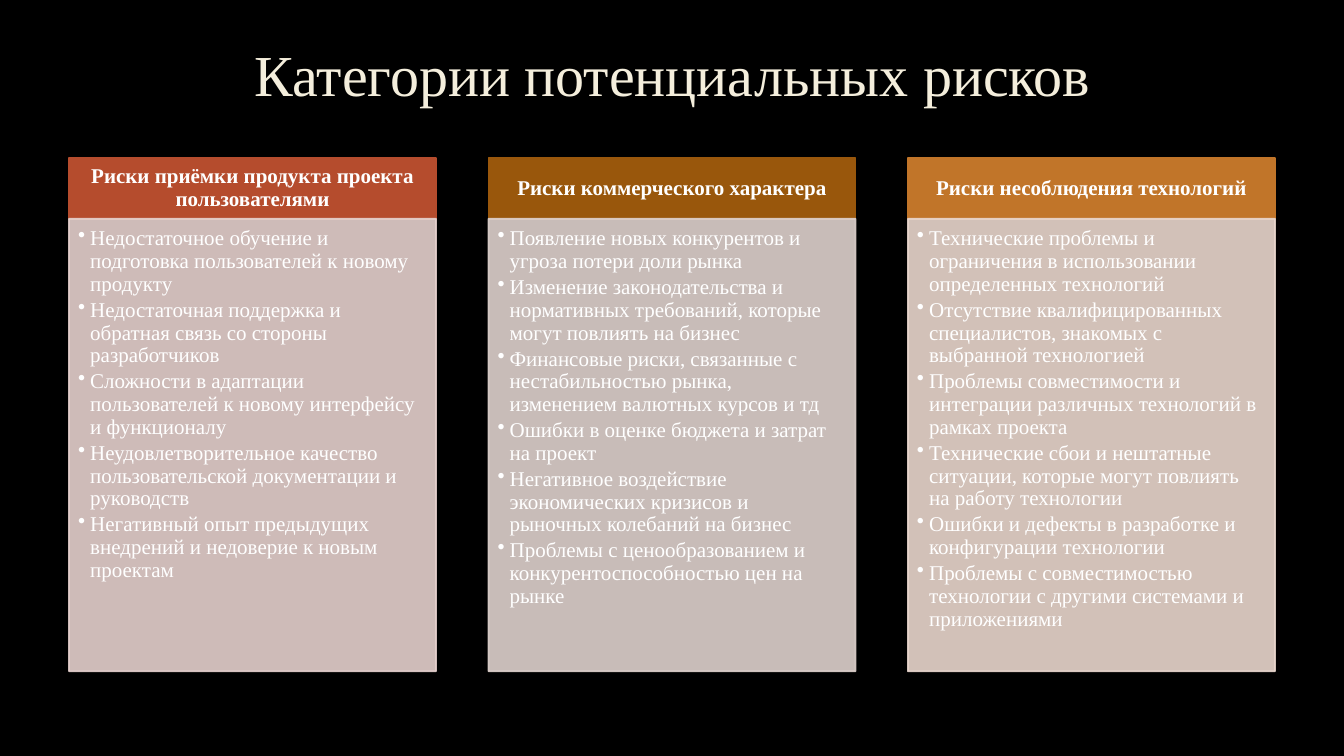
from lxml.etree import SubElement
from pptx import Presentation
from pptx.dml.color import RGBColor
from pptx.enum.shapes import MSO_SHAPE
from pptx.enum.text import MSO_ANCHOR, PP_ALIGN
from pptx.oxml.ns import qn
from pptx.util import Inches, Pt

# Content
TITLE = "Категории потенциальных рисков"
CATEGORIES = [
    ("Риски приёмки продукта проекта пользователями", "acceptance", [
        "Недостаточное обучение и подготовка пользователей к новому продукту",
        "Недостаточная поддержка и обратная связь со стороны разработчиков",
        "Сложности в адаптации пользователей к новому интерфейсу и функционалу",
        "Неудовлетворительное качество пользовательской документации и руководств",
        "Негативный опыт предыдущих внедрений и недоверие к новым проектам",
    ]),
    ("Риски коммерческого характера", "commercial", [
        "Появление новых конкурентов и угроза потери доли рынка",
        "Изменение законодательства и нормативных требований, которые могут повлиять на бизнес",
        "Финансовые риски, связанные с нестабильностью рынка, изменением валютных курсов и тд",
        "Ошибки в оценке бюджета и затрат на проект",
        "Негативное воздействие экономических кризисов и рыночных колебаний на бизнес",
        "Проблемы с ценообразованием и конкурентоспособностью цен на рынке",
    ]),
    ("Риски несоблюдения технологий", "technology", [
        "Технические проблемы и ограничения в использовании определенных технологий",
        "Отсутствие квалифицированных специалистов, знакомых с выбранной технологией",
        "Проблемы совместимости и интеграции различных технологий в рамках проекта",
        "Технические сбои и нештатные ситуации, которые могут повлиять на работу технологии",
        "Ошибки и дефекты в разработке и конфигурации технологии",
        "Проблемы с совместимостью технологии с другими системами и приложениями",
    ]),
]
COLORS = {
    "background": "000000", "title": "F4EEDC", "text": "FFFFFF",
    "acceptance": "B54C2D", "acceptance_body": "E5D0CD",
    "commercial": "99570C", "commercial_body": "DED1CC",
    "technology": "C17529", "technology_body": "E9D6CD",
}
FONT = "Times New Roman"

# Layout in inches
SLIDE_WIDTH, SLIDE_HEIGHT = 13.33, 7.5
COLUMN_WIDTH, COLUMN_GAP = 3.64, 0.52
HEADER_TOP, HEADER_HEIGHT, BODY_HEIGHT = 1.57, 0.6, 4.49
HEADER_INSETS = (0.12, 0.07, 0.12, 0.07)
BODY_INSETS = (0.09, 0.09, 0.12, 0.13)
BULLET_INDENT = 0.12


def rgb(name):
    return RGBColor.from_string(COLORS[name])


def add_paragraph(frame, text, size, color, alignment, bold=False, space_after=0):
    first = frame.paragraphs[0]
    paragraph = frame.add_paragraph() if first.runs else first
    paragraph.alignment = alignment
    paragraph.line_spacing = 0.9
    paragraph.space_after = Pt(space_after)
    run = paragraph.add_run()
    run.text = text
    run.font.name = FONT
    run.font.size = Pt(size)
    run.font.bold = bold
    run.font.color.rgb = rgb(color)
    return paragraph


def add_bullet(paragraph):
    properties = paragraph._p.get_or_add_pPr()
    properties.set("marL", str(Inches(BULLET_INDENT)))
    properties.set("indent", str(-Inches(BULLET_INDENT)))
    SubElement(properties, qn("a:buChar"), char="•")


def add_panel(slide, left, top, height, color, insets, anchor, opacity=100):
    shape = slide.shapes.add_shape(
        MSO_SHAPE.RECTANGLE, Inches(left), Inches(top), Inches(COLUMN_WIDTH), Inches(height))
    shape.shadow.inherit = False
    shape.line.width = Pt(1.25)
    for fill in (shape.fill, shape.line.fill):
        fill.solid()
        fill.fore_color.rgb = rgb(color)
    if opacity < 100:
        for color_element in shape._element.spPr.iter(qn("a:srgbClr")):
            SubElement(color_element, qn("a:alpha"), val=str(opacity * 1000))
    frame = shape.text_frame
    frame.word_wrap = True
    frame.vertical_anchor = anchor
    (frame.margin_left, frame.margin_top,
     frame.margin_right, frame.margin_bottom) = map(Inches, insets)
    return frame


def main():
    presentation = Presentation()
    presentation.slide_width = Inches(SLIDE_WIDTH)
    presentation.slide_height = Inches(SLIDE_HEIGHT)
    slide = presentation.slides.add_slide(presentation.slide_layouts[6])
    slide.background.fill.solid()
    slide.background.fill.fore_color.rgb = rgb("background")

    # Title
    title = slide.shapes.add_textbox(Inches(1.01), Inches(0.38), Inches(11.32), Inches(0.79))
    title.text_frame.word_wrap = True
    title.text_frame.vertical_anchor = MSO_ANCHOR.MIDDLE
    add_paragraph(title.text_frame, TITLE, 41.4, "title", PP_ALIGN.CENTER)

    # Columns, centred across the slide
    count = len(CATEGORIES)
    pitch = COLUMN_WIDTH + COLUMN_GAP
    first_left = (SLIDE_WIDTH - count * pitch + COLUMN_GAP) / 2
    for index, (heading, color, risks) in enumerate(CATEGORIES):
        left = first_left + index * pitch
        header = add_panel(slide, left, HEADER_TOP, HEADER_HEIGHT, color,
                           HEADER_INSETS, MSO_ANCHOR.MIDDLE)
        add_paragraph(header, heading, 15, "text", PP_ALIGN.CENTER, bold=True)
        body = add_panel(slide, left, HEADER_TOP + HEADER_HEIGHT, BODY_HEIGHT,
                         color + "_body", BODY_INSETS, MSO_ANCHOR.TOP, opacity=90)
        for risk in risks:
            add_bullet(add_paragraph(body, risk, 15, "text", PP_ALIGN.LEFT, space_after=2.4))

    presentation.save("out.pptx")


if __name__ == "__main__":
    main()
